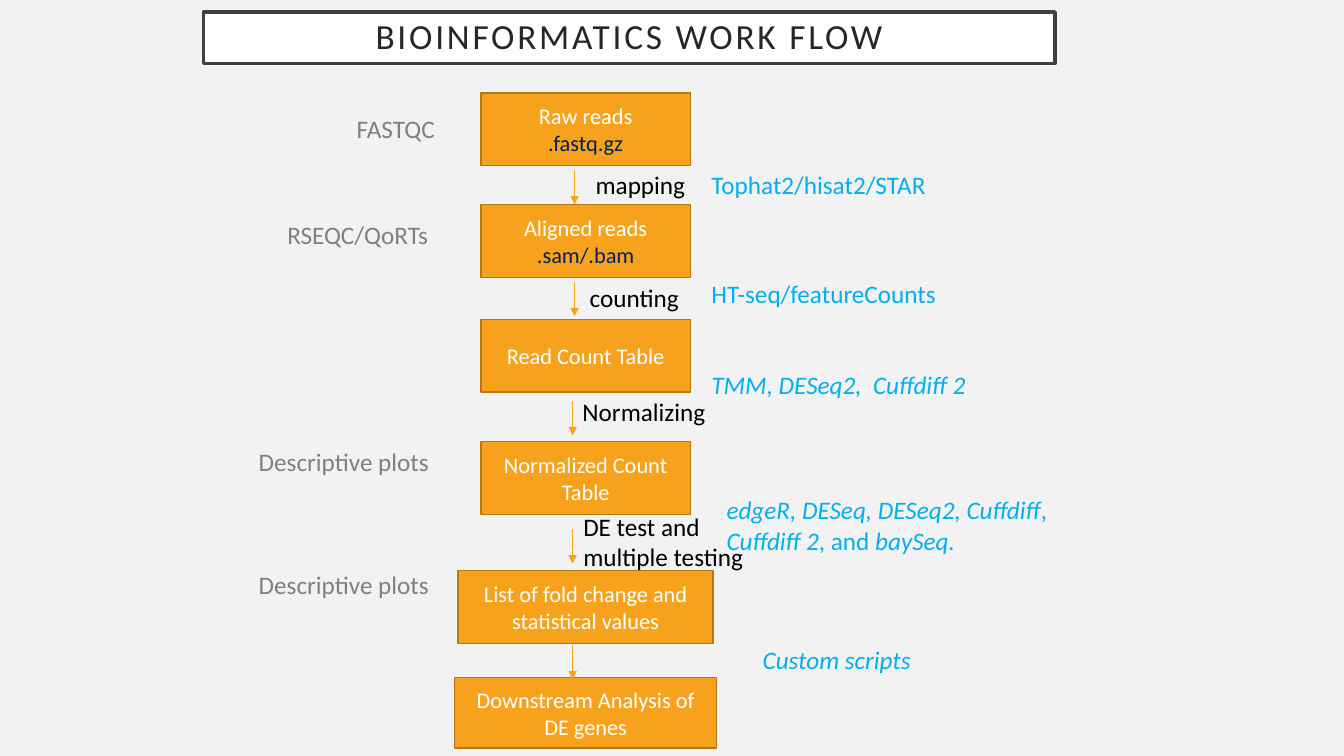
"""Build the bioinformatics work flow slide."""
import pptx
import pptx.util
import pptx.dml.color
import pptx.enum.shapes
import pptx.enum.text
import pptx.oxml
import pptx.oxml.ns
from pptx.util import Cm

COLORS = {
    "background": "F2F2F2", "white": "FFFFFF", "frame": "404040",
    "title": "262626", "box": "F6A21D", "edge": "B67815", "file": "002060",
    "step": "000000", "check": "808080", "tool": "00B0F0",
}


def rgb(name):
    return pptx.dml.color.RGBColor.from_string(COLORS[name])


def add_run(paragraph, text, size, color, italic=False):
    run = paragraph.add_run()
    run.text = text
    run.font.name = "Calibri"
    run.font.size = pptx.util.Pt(size)
    run.font.italic = italic
    run.font.color.rgb = rgb(color)
    return run


presentation = pptx.Presentation()
presentation.slide_width = Cm(33.87)
presentation.slide_height = Cm(19.05)
slide = presentation.slides.add_slide(presentation.slide_layouts[5])
slide.background.fill.solid()
slide.background.fill.fore_color.rgb = rgb("background")

title = slide.shapes.title
title.left, title.top, title.width, title.height = Cm(5.13), Cm(0.3), Cm(21.46), Cm(1.3)
title.fill.solid()
title.fill.fore_color.rgb = rgb("white")
title.line.color.rgb = rgb("frame")
title.line.width = pptx.util.Pt(2.5)
frame = title.text_frame
frame.word_wrap = True
frame.auto_size = pptx.enum.text.MSO_AUTO_SIZE.NONE
frame.vertical_anchor = pptx.enum.text.MSO_ANCHOR.MIDDLE
frame.margin_left = frame.margin_right = frame.margin_top = frame.margin_bottom = Cm(0.51)
paragraph = frame.paragraphs[0]
paragraph.alignment = pptx.enum.text.PP_ALIGN.CENTER
paragraph.line_spacing = 0.9
title_run = add_run(paragraph, "BIOINFORMATICS WORK FLOW", 25.2, "title")
title_run._r.get_or_add_rPr().set("spc", "200")

BOX_CENTER = 14.76
boxes = [
    (2.34, 5.28, 1.83, "Raw reads", ".fastq.gz"),
    (5.16, 5.28, 1.83, "Aligned reads", ".sam/.bam"),
    (8.05, 5.28, 1.83, "Read Count Table", None),
    (11.13, 5.28, 1.83, "Normalized Count Table", None),
    (14.38, 6.43, 1.83, "List of fold change and statistical values", None),
    (17.07, 6.6, 1.78, "Downstream Analysis of DE genes", None),
]
for top, width, height, name, file_type in boxes:
    box = slide.shapes.add_shape(
        pptx.enum.shapes.MSO_SHAPE.RECTANGLE,
        Cm(BOX_CENTER - width / 2), Cm(top), Cm(width), Cm(height))
    box.shadow.inherit = False
    box.fill.solid()
    box.fill.fore_color.rgb = rgb("box")
    box.line.color.rgb = rgb("edge")
    box.line.width = pptx.util.Pt(1)
    frame = box.text_frame
    frame.word_wrap = True
    frame.vertical_anchor = pptx.enum.text.MSO_ANCHOR.MIDDLE
    paragraph = frame.paragraphs[0]
    paragraph.alignment = pptx.enum.text.PP_ALIGN.CENTER
    add_run(paragraph, name, 16, "white")
    if file_type:
        paragraph = frame.add_paragraph()
        paragraph.alignment = pptx.enum.text.PP_ALIGN.CENTER
        add_run(paragraph, file_type, 16, "file")

ARROW_LENGTH = 0.86
arrows = [(14.48, 4.29), (14.48, 7.11), (14.43, 10.11), (14.43, 13.34), (14.43, 16.26)]
for left, top in arrows:
    arrow = slide.shapes.add_connector(
        pptx.enum.shapes.MSO_CONNECTOR.STRAIGHT,
        Cm(left), Cm(top), Cm(left), Cm(top + ARROW_LENGTH))
    arrow.line.color.rgb = rgb("box")
    arrow.line.width = pptx.util.Pt(0.5)
    line = arrow.line._get_or_add_ln()
    line.append(pptx.oxml.parse_xml(
        '<a:tailEnd %s type="triangle"/>' % pptx.oxml.ns.nsdecls("a")))
    line.addnext(pptx.oxml.parse_xml("<a:effectLst %s/>" % pptx.oxml.ns.nsdecls("a")))

labels = [
    (8.74, 2.74, 2.92, 1.02, "check", [("FASTQC", False)]),
    (6.99, 5.41, 4.67, 1.02, "check", [("RSEQC/QoRTs", False)]),
    (6.27, 11.13, 5.38, 1.02, "check", [("Descriptive plots", False)]),
    (6.27, 14.22, 5.38, 1.02, "check", [("Descriptive plots", False)]),
    (14.76, 4.14, 2.92, 1.02, "step", [("mapping", False)]),
    (14.61, 6.99, 2.92, 1.02, "step", [("counting", False)]),
    (14.43, 9.86, 3.86, 1.02, "step", [("Normalizing", False)]),
    (14.45, 12.75, 4.57, 1.8, "step", [("DE test and multiple testing", False)]),
    (17.68, 4.14, 5.94, 1.02, "tool", [("Tophat2/hisat2/STAR", False)]),
    (17.68, 6.88, 7.8, 1.02, "tool", [("HT-seq/featureCounts", False)]),
    (17.68, 9.17, 7.8, 1.02, "tool", [("TMM, DESeq2,  Cuffdiff 2", True)]),
    (18.06, 12.34, 8.84, 1.8, "tool", [
        ("edgeR, DESeq, DESeq2, Cuffdiff", True), (", ", False),
        ("Cuffdiff 2", True), (", and ", False), ("baySeq.", True)]),
    (18.97, 16.1, 4.98, 1.02, "tool", [("Custom scripts", True)]),
]
for left, top, width, height, color, pieces in labels:
    label = slide.shapes.add_textbox(Cm(left), Cm(top), Cm(width), Cm(height))
    label.text_frame.word_wrap = True
    label.text_frame.auto_size = pptx.enum.text.MSO_AUTO_SIZE.SHAPE_TO_FIT_TEXT
    for text, italic in pieces:
        add_run(label.text_frame.paragraphs[0], text, 18, color, italic)

presentation.save("out.pptx")
